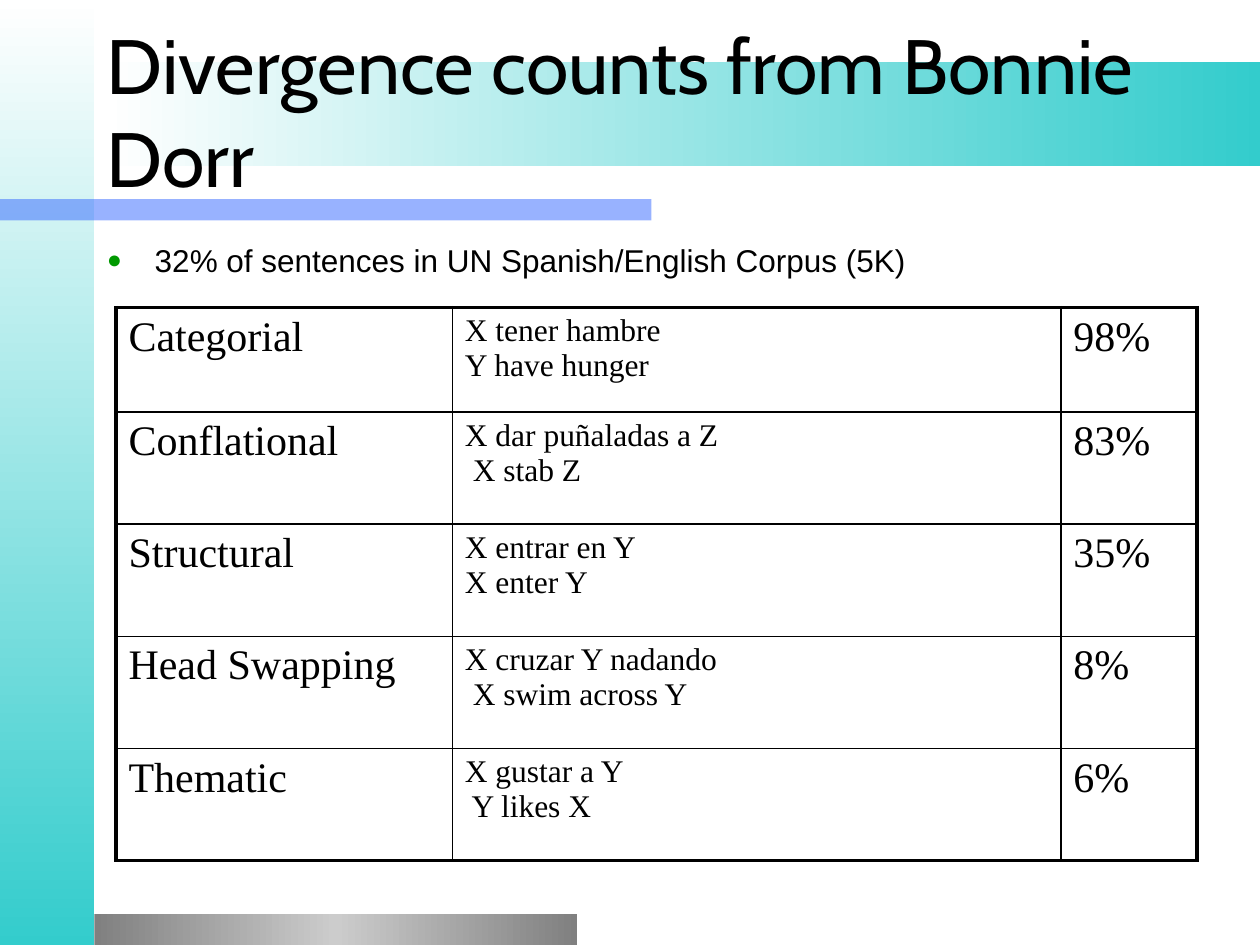
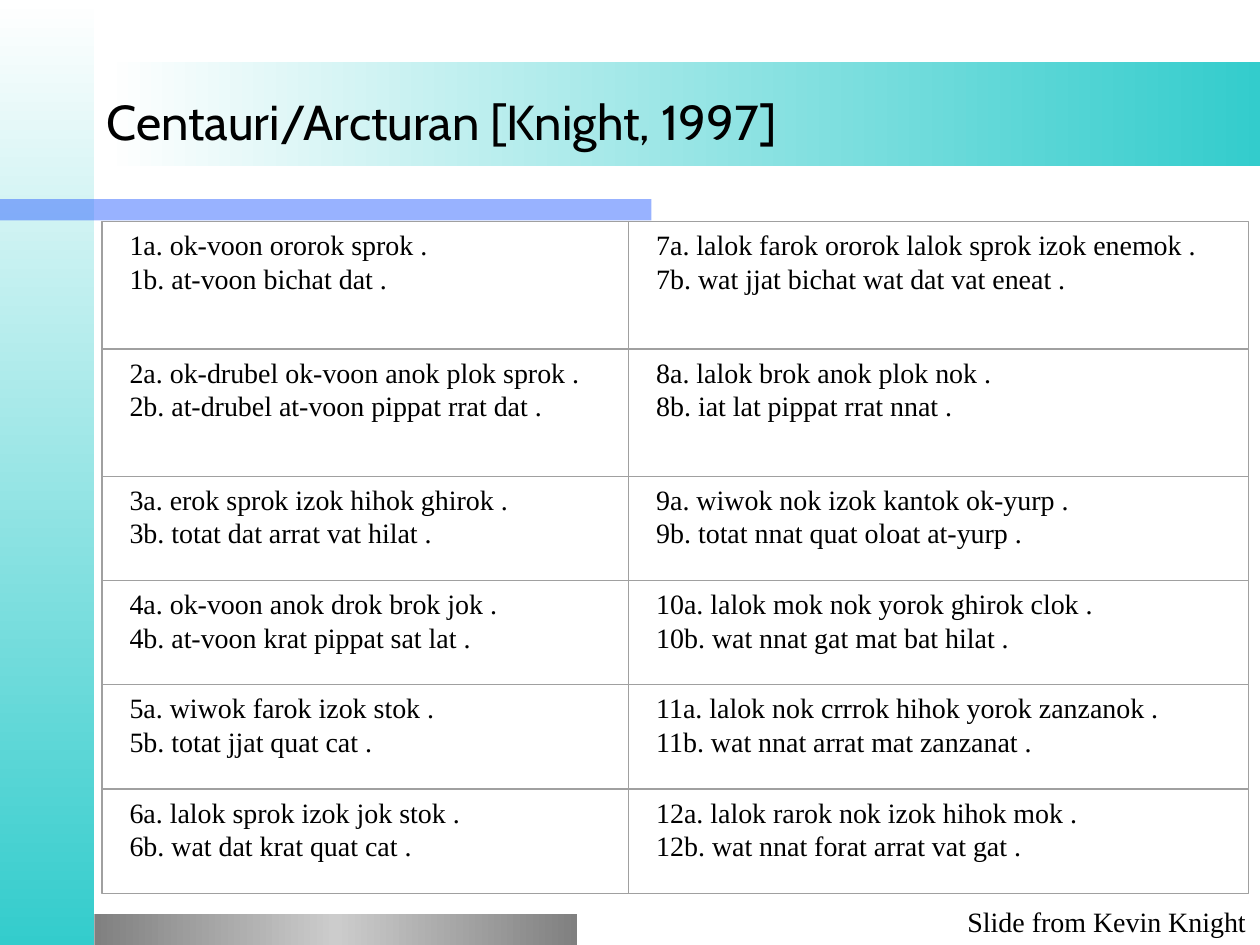
"""Build two slides on translation divergence with a shared banded frame."""
from dataclasses import dataclass
from itertools import accumulate

from lxml.etree import SubElement as Sub
from pptx import Presentation
from pptx.dml.color import RGBColor as Rgb
from pptx.enum.shapes import MSO_SHAPE as Kind
from pptx.enum.text import MSO_ANCHOR as Anchor
from pptx.oxml.ns import qn
from pptx.util import Inches, Pt


@dataclass(frozen=True)
class Theme:
    ink: str = "000000"
    white: str = "FFFFFF"
    teal: str = "33CCCC"
    blue: str = "3366FF"
    dark: str = "808080"
    light: str = "CCCCCC"
    rule: str = "A0A0A0"
    green: str = "009900"
    head: str = "Cabin"
    sans: str = "Arial"
    serif: str = "Times New Roman"
    big: int = 44
    title: int = 28
    label: int = 24
    body: int = 18
    small: int = 16
    thick: float = 2.25
    thin: float = 1


@dataclass(frozen=True)
class Area:
    left: float
    top: float
    width: float
    height: float

    def place(self) -> tuple:
        return tuple(map(Inches, (self.left, self.top, self.width, self.height)))


@dataclass(frozen=True)
class Band:
    area: Area
    stops: tuple
    angle: int = 0
    alpha: int = 100


THEME = Theme()
BANDS = (
    Band(Area(0, 0, 0.75, 7.5), (THEME.white, THEME.teal), angle=90),
    Band(Area(0, 1.58, 5.17, 0.17), (THEME.blue,), alpha=50),
    Band(Area(0.75, 7.25, 3.83, 0.25), (THEME.dark, THEME.light, THEME.dark)),
    Band(Area(0.84, 0.49, 9.16, 0.83), (THEME.white, THEME.teal)),
)
COUNTS = (
    ("Categorial", "X tener hambre\nY have hunger", "98%"),
    ("Conflational", "X dar puñaladas a Z\n X stab Z", "83%"),
    ("Structural", "X entrar en Y\nX enter Y", "35%"),
    ("Head Swapping", "X cruzar Y nadando\n X swim across Y", "8%"),
    ("Thematic", "X gustar a Y\n Y likes X", "6%"),
)
PAIRS = (
    ("ok-voon ororok sprok", "at-voon bichat dat"),
    ("ok-drubel ok-voon anok plok sprok", "at-drubel at-voon pippat rrat dat"),
    ("erok sprok izok hihok ghirok", "totat dat arrat vat hilat"),
    ("ok-voon anok drok brok jok", "at-voon krat pippat sat lat"),
    ("wiwok farok izok stok", "totat jjat quat cat"),
    ("lalok sprok izok jok stok", "wat dat krat quat cat"),
    ("lalok farok ororok lalok sprok izok enemok", "wat jjat bichat wat dat vat eneat"),
    ("lalok brok anok plok nok", "iat lat pippat rrat nnat"),
    ("wiwok nok izok kantok ok-yurp", "totat nnat quat oloat at-yurp"),
    ("lalok mok nok yorok ghirok clok", "wat nnat gat mat bat hilat"),
    ("lalok nok crrrok hihok yorok zanzanok", "wat nnat arrat mat zanzanat"),
    ("lalok rarok nok izok hihok mok", "wat nnat forat arrat vat gat"),
)


def add_dot(para) -> None:
    props = para._p.get_or_add_pPr()
    props.set("marL", str(Inches(0.38)))
    props.set("indent", str(-Inches(0.38)))
    Sub(Sub(props, qn("a:buClr")), qn("a:srgbClr"), val=THEME.green)
    Sub(props, qn("a:buSzPct"), val="80000")
    Sub(props, qn("a:buFont"), typeface=THEME.sans)
    Sub(props, qn("a:buChar"), char="●")


def write(frame, text: str, *, font: str = THEME.serif, size: float = THEME.small,
          anchor=Anchor.TOP, wrap: bool = True, dot: bool = False) -> None:
    frame.word_wrap = wrap
    frame.vertical_anchor = anchor
    for i, line in enumerate(text.split("\n")):
        para = frame.paragraphs[0] if i == 0 else frame.add_paragraph()
        if dot:
            add_dot(para)
        run = para.add_run()
        run.text = line
        run.font.name, run.font.size, run.font.bold = font, Pt(size), False
        run.font.color.rgb = Rgb.from_string(THEME.ink)


def add_text(slide, area: Area, text: str, **form) -> None:
    write(slide.shapes.add_textbox(*area.place()).text_frame, text, **form)


def add_title(slide, area: Area, text: str, size: float) -> None:
    add_text(slide, area, text, font=THEME.head, size=size, anchor=Anchor.MIDDLE)


def add_rect(slide, area: Area):
    shape = slide.shapes.add_shape(Kind.RECTANGLE, *area.place())
    shape.shadow.inherit = False
    shape.fill.background()
    shape.line.fill.background()
    return shape


def add_band(slide, band: Band) -> None:
    shape = add_rect(slide, band.area)
    if len(band.stops) == 1:
        shape.fill.solid()
        shape.fill.fore_color.rgb = Rgb.from_string(band.stops[0])
        tone = shape._element.spPr.find(".//" + qn("a:srgbClr"))
        Sub(tone, qn("a:alpha"), val=str(band.alpha * 1000))
        return
    shape.fill.gradient()
    grad = shape._element.spPr.find(qn("a:gradFill"))
    for child in list(grad):
        grad.remove(child)
    stops = Sub(grad, qn("a:gsLst"))
    for i, tone in enumerate(band.stops):
        spot = 100000 * i // (len(band.stops) - 1)
        Sub(Sub(stops, qn("a:gs"), pos=str(spot)), qn("a:srgbClr"), val=tone)
    Sub(grad, qn("a:lin"), ang=str(band.angle * 60000), scaled="0")


def add_slide(deck):
    slide = deck.slides.add_slide(deck.slide_layouts[6])
    for band in BANDS:
        add_band(slide, band)
    return slide


def add_edges(cell, outer: dict[str, bool]) -> None:
    props = cell._tc.get_or_add_tcPr()
    for side, edge in outer.items():
        width = Pt(THEME.thick if edge else THEME.thin)
        line = Sub(props, qn(f"a:ln{side}"), w=str(width))
        Sub(Sub(line, qn("a:solidFill")), qn("a:srgbClr"), val=THEME.ink)
    cell.fill.background()


def add_counts(slide) -> None:
    area = Area(0.92, 2.44, 8.58, 4.39)
    last_row, last_col = len(COUNTS) - 1, len(COUNTS[0]) - 1
    table = slide.shapes.add_table(last_row + 1, last_col + 1, *area.place()).table
    table.first_row = table.horz_banding = False
    for col, width in zip(table.columns, (2.67, 4.83, 1.08)):
        col.width = Inches(width)
    for r, texts in enumerate(COUNTS):
        table.rows[r].height = Inches(0.89 if r else 0.83)
        for c, text in enumerate(texts):
            cell = table.cell(r, c)
            write(cell.text_frame, text, size=THEME.body if c == 1 else THEME.label)
            add_edges(cell, {"L": c == 0, "R": c == last_col,
                             "T": r == 0, "B": r == last_row})


def add_pairs(slide) -> None:
    short = (7.09 - 3.78) / 4
    heights = (1.01, 1.01, short, short, short, short)
    tops = tuple(accumulate(heights, initial=1.76))
    cols = ((0.81, 4.18), (4.99, 4.92))
    for i, (source, target) in enumerate(PAIRS):
        c, r = divmod(i, len(heights))
        left, width = cols[c]
        text = f"{i + 1}a. {source} .\n{i + 1}b. {target} ."
        add_text(slide, Area(left + 0.12, tops[r], width - 0.22, heights[r]), text)
        frame = add_rect(slide, Area(left, tops[r], width, heights[r]))
        frame.line.color.rgb = Rgb.from_string(THEME.rule)
        frame.line.width = Pt(0)


def main() -> None:
    deck = Presentation()
    deck.slide_width, deck.slide_height = Inches(10), Inches(7.5)

    slide = add_slide(deck)
    add_title(slide, Area(0.75, 0.25, 9, 1.25),
              "Divergence counts from Bonnie Dorr", THEME.big)
    add_text(slide, Area(0.75, 1.86, 8.5, 5.29),
             "32% of sentences in UN Spanish/English Corpus (5K)",
             font=THEME.sans, size=THEME.body, dot=True)
    add_counts(slide)

    slide = add_slide(deck)
    add_title(slide, Area(0.75, 0.5, 9.25, 0.92),
              "Centauri/Arcturan [Knight, 1997]", THEME.title)
    add_pairs(slide)
    add_text(slide, Area(7.58, 7.13, 2.42, 0.37), "Slide from Kevin Knight", wrap=False)

    deck.save("out.pptx")


if __name__ == "__main__":
    main()
